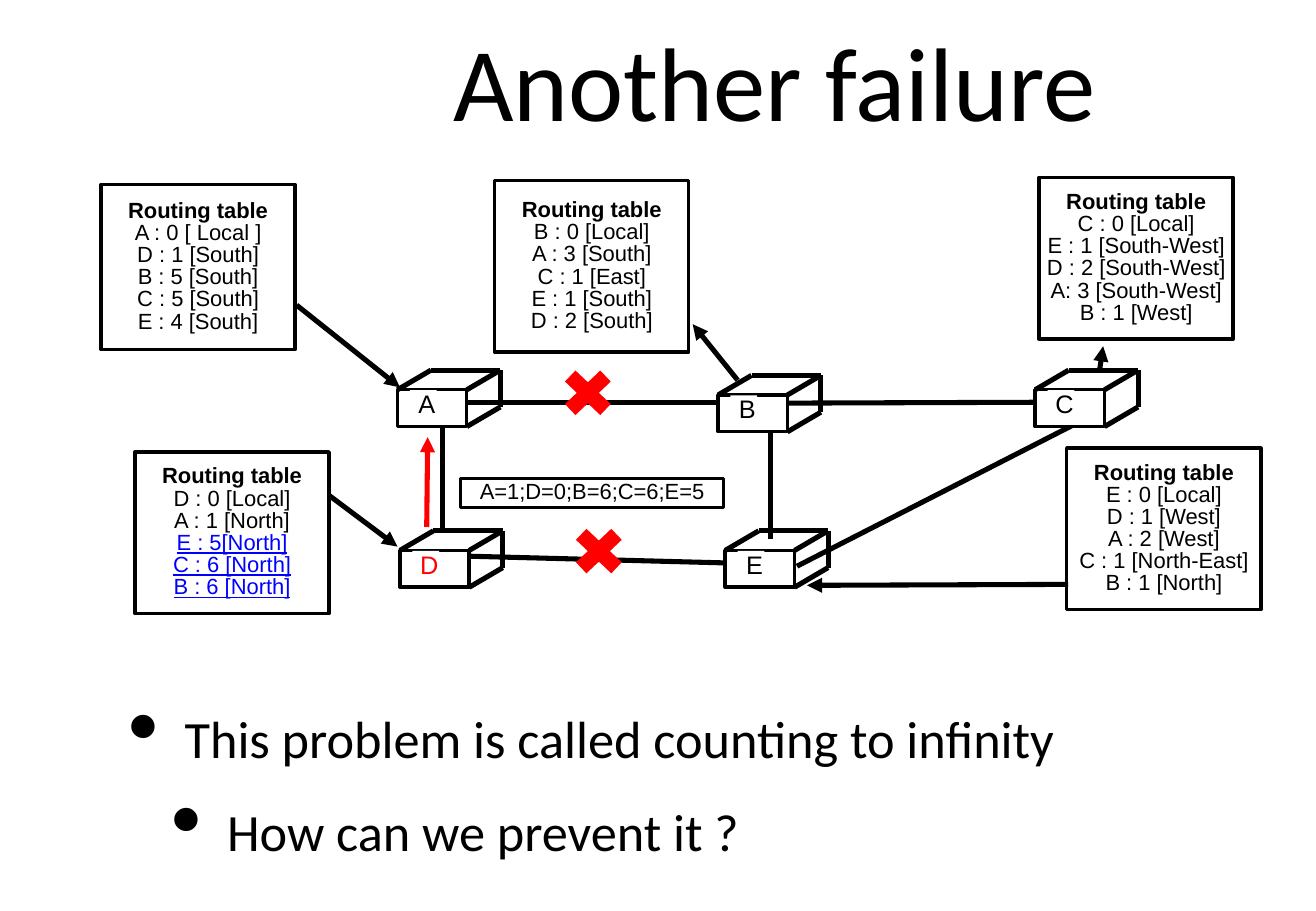
from lxml.etree import SubElement
from pptx import Presentation
from pptx.dml.color import RGBColor
from pptx.enum.shapes import MSO_CONNECTOR, MSO_SHAPE
from pptx.enum.text import MSO_ANCHOR, MSO_AUTO_SIZE, PP_ALIGN
from pptx.oxml.ns import qn
from pptx.util import Cm, Pt

COLORS = {"ink": "000000", "paper": "FFFFFF", "alert": "FF0000", "changed": "0000FF"}

TITLE_BOX = (6.6, 0, 19.2, 3.35)
NETWORK_BOX = (2, 3.5, 24.36, 9.36)
BULLETS_BOX = (1.93, 14.2, 23.52, 4.39)

CUBE_SIZE = (1.45, 0.77)
CUBE_DEPTH = (0.7, 0.41)
TABLE_WIDTH = 4.06
CROSS_SIZE = (1.42, 1.35)

ROUTERS = {
    "A": (6.31, 4.65, "ink"),
    "B": (13.01, 4.76, "ink"),
    "C": (19.64, 4.65, "ink"),
    "D": (6.36, 8.01, "alert"),
    "E": (13.16, 8.01, "ink"),
}
LINKS = [
    (7.25, 5.42, 7.25, 7.63),
    (7.78, 8.13, 13.88, 8.29),
    (7.68, 4.91, 13.8, 4.91),
    (14.1, 5.36, 14.1, 7.78),
    (14.66, 8.34, 20.43, 5.39),
    (14.36, 4.93, 20.15, 4.91),
]
ARROWS = [
    (4.2, 2.88, 6.36, 4.6, "ink"),
    (13.42, 4.45, 12.48, 3.28, "ink"),
    (20.99, 4.22, 21.06, 3.74, "ink"),
    (4.88, 6.86, 6.31, 7.93, "ink"),
    (20.33, 8.72, 14.87, 8.74, "ink"),
    (6.92, 7.52, 6.94, 5.64, "alert"),
]
ROUTING_TABLES = [
    (0.11, 0.36, 3.45, ["A : 0 [ Local ]", "D : 1 [South]", "B : 5 [South]", "C : 5 [South]", "E : 4 [South]"]),
    (8.34, 0.28, 3.58, ["B : 0 [Local]", "A : 3 [South]", "C : 1 [East]", "E : 1 [South]", "D : 2 [South]"]),
    (19.72, 0.21, 3.38,
     ["C : 0 [Local]", "E : 1 [South-West]", "D : 2 [South-West]", "A: 3 [South-West]", "B : 1 [West]"]),
    (0.82, 5.95, 3.38, ["D : 0 [Local]", "A : 1 [North]", "E : 5[North]", "C : 6 [North]", "B : 6 [North]"]),
    (20.3, 5.87, 3.38, ["E : 0 [Local]", "D : 1 [West]", "A : 2 [West]", "C : 1 [North-East]", "B : 1 [North]"]),
]
CHANGED_ROUTES = {"E : 5[North]", "C : 6 [North]", "B : 6 [North]"}
MESSAGE_BOX = (7.63, 6.51, 5.49, 0.61)
CROSSES = [(9.58, 4.04), (9.81, 7.35)]
BULLETS = [("This problem is called counting to infinity", 0, 1.83), ("How can we prevent it ?", 1, 2.72)]


def color(name):
    """Return the named colour."""
    return RGBColor.from_string(COLORS[name])


def apply_format(target, values):
    """Set each attribute of the target from a dict."""
    for name, value in values.items():
        setattr(target, name, value)


def format_frame(frame, inset=0, wrap=True):
    """Set insets, wrapping and middle anchoring of a text frame."""
    apply_format(frame, {
        "auto_size": MSO_AUTO_SIZE.NONE, "word_wrap": wrap, "vertical_anchor": MSO_ANCHOR.MIDDLE,
        "margin_left": Cm(inset), "margin_right": Cm(inset),
        "margin_top": Cm(inset), "margin_bottom": Cm(inset),
    })


def write_line(paragraph, text, size, font="Arial", ink="ink", paragraph_format=None, **font_values):
    """Write one formatted line of text into a paragraph."""
    apply_format(paragraph, paragraph_format or {"alignment": PP_ALIGN.CENTER, "line_spacing": 0.84})
    run = paragraph.add_run()
    run.text = text
    apply_format(run.font, {"name": font, "size": Pt(size), **font_values})
    run.font.color.rgb = color(ink)


def add_box(shapes, kind, box, fill=None, outlined=True):
    """Add a preset shape with a plain fill and an optional outline."""
    shape = shapes.add_shape(kind, *map(Cm, box))
    shape.shadow.inherit = False
    if fill:
        shape.fill.solid()
        shape.fill.fore_color.rgb = color(fill)
    else:
        shape.fill.background()
    if outlined:
        shape.line.color.rgb = color("ink")
        shape.line.width = Pt(2)
    else:
        shape.line.fill.background()
    return shape


def add_line(shapes, ends, ink="ink", arrow=False):
    """Add a straight line with an optional arrowhead at its end."""
    connector = shapes.add_connector(MSO_CONNECTOR.STRAIGHT, *map(Cm, ends))
    connector.line.color.rgb = color(ink)
    connector.line.width = Pt(3)
    properties = connector._element.spPr
    if arrow:
        SubElement(properties.find(qn("a:ln")), qn("a:tailEnd"), type="triangle")
    SubElement(properties, qn("a:effectLst"))


def add_router(slide, name, left, top, ink):
    """Draw a router as a grouped cube with its letter on the front."""
    shapes = slide.shapes.add_group_shape().shapes
    width, height = CUBE_SIZE
    depth, rise = CUBE_DEPTH
    right, bottom = left + width, top + height
    add_box(shapes, MSO_SHAPE.RECTANGLE, (left, top, width, height), "paper")
    for x, y in [(left, top), (right, top), (right, bottom)]:
        add_line(shapes, (x, y, x + depth, y - rise))
    add_line(shapes, (left + depth, top - rise, right + depth, top - rise))
    add_line(shapes, (right + depth, top - rise, right + depth, bottom - rise))
    label = add_box(shapes, MSO_SHAPE.RECTANGLE, (left + 0.26, top + 0.01, 0.56, 0.66), "paper", False)
    format_frame(label.text_frame, wrap=False)
    label.text_frame.margin_left = Cm(0.15)
    write_line(label.text_frame.paragraphs[0], name, 15, ink=ink)


def add_routing_table(slide, box, routes):
    """Draw a routing table with its heading and changed routes marked."""
    frame = add_box(slide.shapes, MSO_SHAPE.RECTANGLE, box).text_frame
    format_frame(frame)
    write_line(frame.paragraphs[0], "Routing table", 13, bold=True)
    for route in routes:
        changed = route in CHANGED_ROUTES
        write_line(frame.add_paragraph(), route, 13, ink="changed" if changed else "ink", underline=changed)


def add_network(slide, box):
    """Draw links, routers, tables and failures inside the box."""
    origin_left, origin_top = box[:2]

    def place(left, top, *rest):
        return (origin_left + left, origin_top + top, *rest)

    def place_line(ends):
        return place(*ends[:2]) + place(*ends[2:])

    for link in LINKS:
        add_line(slide.shapes, place_line(link))
    for name, (left, top, ink) in ROUTERS.items():
        add_router(slide, name, *place(left, top), ink)
    for *ends, ink in ARROWS:
        add_line(slide.shapes, place_line(ends), ink, arrow=True)
    for left, top, height, routes in ROUTING_TABLES:
        add_routing_table(slide, place(left, top, TABLE_WIDTH, height), routes)
    message = add_box(slide.shapes, MSO_SHAPE.RECTANGLE, place(*MESSAGE_BOX))
    format_frame(message.text_frame)
    write_line(message.text_frame.paragraphs[0], "A=1;D=0;B=6;C=6;E=5", 13)
    for cross in CROSSES:
        add_box(slide.shapes, MSO_SHAPE.MATH_MULTIPLY, place(*cross, *CROSS_SIZE), "alert", False)


def add_title(slide, box):
    """Place and format the title placeholder."""
    title = slide.shapes.title
    apply_format(title, dict(zip(("left", "top", "width", "height"), map(Cm, box))))
    format_frame(title.text_frame, 0.1)
    write_line(title.text_frame.paragraphs[0], "Another failure", 62, "Calibri",
               paragraph_format={"alignment": PP_ALIGN.CENTER})


def add_bullets(slide, box):
    """Write the bulleted conclusions inside the box."""
    frame = slide.shapes.add_textbox(*map(Cm, box)).text_frame
    format_frame(frame, 0.1)
    for index, (text, level, indent) in enumerate(BULLETS):
        paragraph = frame.add_paragraph() if index else frame.paragraphs[0]
        write_line(paragraph, text, 31, "Calibri",
                   paragraph_format={"level": level, "space_before": Pt(17.7)})
        properties = paragraph._p.get_or_add_pPr()
        properties.set("marL", str(Cm(indent)))
        properties.set("indent", str(Cm(-1.17)))
        SubElement(properties, qn("a:buSzPct"), val="171000")
        SubElement(properties, qn("a:buChar"), char="•")


def main():
    """Build and save the presentation."""
    presentation = Presentation()
    apply_format(presentation, {"slide_width": Cm(27.51), "slide_height": Cm(19.05)})
    slide = presentation.slides.add_slide(presentation.slide_layouts.get_by_name("Title Only"))
    add_title(slide, TITLE_BOX)
    add_network(slide, NETWORK_BOX)
    add_bullets(slide, BULLETS_BOX)
    presentation.save("out.pptx")


if __name__ == "__main__":
    main()
